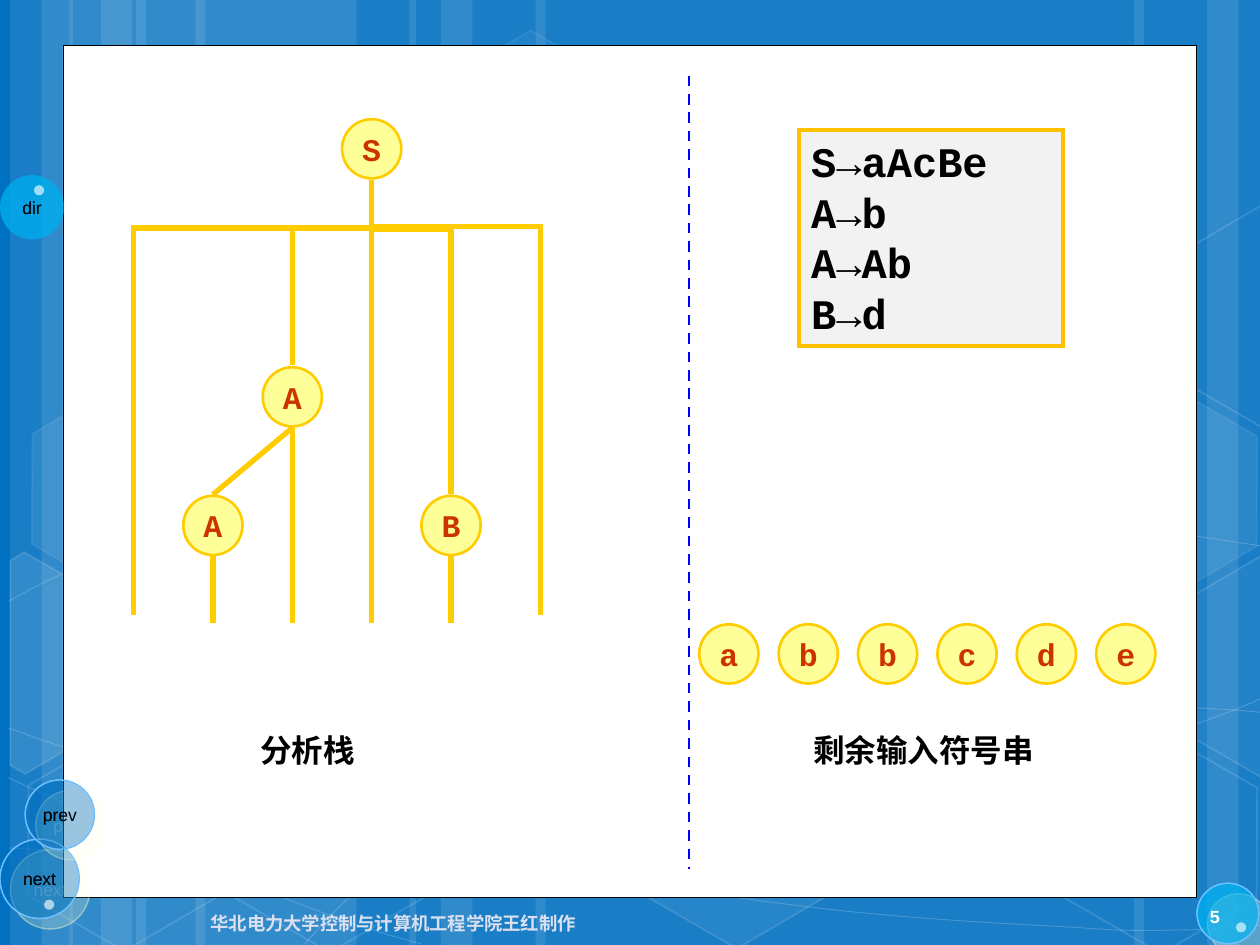
from math import cos, radians, sin
from typing import NamedTuple, Optional

from lxml import etree
from pptx import Presentation, util as u
from pptx.dml.color import RGBColor
from pptx.enum import dml, shapes, text
from pptx.oxml.ns import qn

COLORS = {
    "back": "0070C0", "white": "FFFFFF", "black": "000000", "sky": "00B0F0",
    "rim": "6DC0FF", "glow": "FFFFCC", "node": "FFFF99", "branch": "FFCC00",
    "symbol": "CC3300", "rules": "F2F2F2", "rules_edge": "FFC000",
    "divider": "0000FF", "footer": "DAE0EF", "number": "FEFEFE",
}
MONO, SANS, CJK = "Courier New", "Arial", "Noto Sans CJK SC"
COL0, COL, ROW0, ROW = 1.06, 0.63, 1.11, 1.02  # tree grid, in inches
NODE = 0.47
S_ROW = 0.07
TILT = 30  # degrees, for the hexagons

prs = Presentation()
prs.slide_width, prs.slide_height = u.Inches(10), u.Inches(7.5)
s = prs.slides.add_slide(prs.slide_layouts[6])


class Style(NamedTuple):
    fill: Optional[str] = None
    alpha: int = 100
    line: Optional[str] = None
    width: float = 1
    line_alpha: int = 100
    glow: bool = False


class Font(NamedTuple):
    size: float
    name: str
    color: str
    bold: bool = False


class Button(NamedTuple):
    box: tuple
    style: Style
    label: str = ""


class Node(NamedTuple):
    label: str
    col: float
    row: float


def paint(fill, color: Optional[str], alpha: int) -> None:
    if color is None:
        fill.background()
        return
    fill.solid()
    fill.fore_color.rgb = RGBColor.from_string(COLORS[color])
    if alpha < 100:
        clr = fill._xPr.find(qn("a:solidFill"))[0]
        etree.SubElement(clr, qn("a:alpha"), val=str(alpha * 1000))


def sharpen(sp) -> None:
    """Give the outline mitred corners."""
    etree.SubElement(sp._element.spPr.find(qn("a:ln")), qn("a:miter"), lim="800000")


def dress(sp, style: Style) -> None:
    paint(sp.fill, style.fill, style.alpha)
    paint(sp.line.fill, style.line, style.line_alpha)
    if style.line:
        sp.line.width = u.Pt(style.width)
        sharpen(sp)
    sp.shadow.inherit = False
    if style.glow:
        effects = sp._element.spPr.find(qn("a:effectLst"))
        shadow = etree.SubElement(effects, qn("a:outerShdw"), dist=str(u.Pt(8.5)),
                                  dir="2700000", algn="ctr", rotWithShape="0")
        clr = etree.SubElement(shadow, qn("a:srgbClr"), val=COLORS["glow"])
        etree.SubElement(clr, qn("a:alpha"), val="30000")


def add_shape(kind, box: tuple, style: Style):
    sp = s.shapes.add_shape(kind, *map(u.Inches, box))
    dress(sp, style)
    return sp


def write(sp, lines: list, font: Font, align=text.PP_ALIGN.CENTER,
          anchor=text.MSO_ANCHOR.MIDDLE, wrap: bool = False) -> None:
    tf = sp.text_frame
    tf.word_wrap, tf.vertical_anchor = wrap, anchor
    tf.text = "\n".join(lines)
    for p in tf.paragraphs:
        p.alignment = align
        p.font.size, p.font.bold = u.Pt(font.size), font.bold
        p.font.color.rgb = RGBColor.from_string(COLORS[font.color])
        p.font.name = font.name
        if font.name == CJK:
            etree.SubElement(p.font._rPr, qn("a:ea"), typeface=CJK)


def add_text(box: tuple, label: str, font: Font, **layout) -> None:
    write(s.shapes.add_textbox(*map(u.Inches, box)), [label], font, **layout)


def add_outline(points: list, style: Style, close: bool = False):
    (x, y), *rest = [(u.Inches(a), u.Inches(b)) for a, b in points]
    fb = s.shapes.build_freeform(x, y)
    fb.add_line_segments(rest, close=close)
    sp = fb.convert_to_shape()
    dress(sp, style)
    return sp


def add_curve(points: list, style: Style) -> None:
    """Join the points, three at a time, as cubic Bezier pieces."""
    sp = add_outline(points, style)
    lines = list(sp._element.spPr.iter(qn("a:lnTo")))
    for i in range(0, len(lines), 3):
        piece = etree.SubElement(lines[i].getparent(), qn("a:cubicBezTo"))
        for line in lines[i:i + 3]:
            piece.append(line[0])
            line.getparent().remove(line)


def add_tilted(points: list, center: tuple, style: Style) -> None:
    """Draw an outline as an upright shape turned about its center."""
    cx, cy = center
    c, d = cos(radians(TILT)), sin(radians(TILT))
    upright = [(cx + c * (x - cx) + d * (y - cy), cy - d * (x - cx) + c * (y - cy))
               for x, y in points]
    add_outline(upright, style, close=True).rotation = TILT


def add_line(x1: float, y1: float, x2: float, y2: float, color: str = "branch",
             width: float = 3, kind=shapes.MSO_CONNECTOR.STRAIGHT):
    c = s.shapes.add_connector(kind, *map(u.Inches, (x1, y1, x2, y2)))
    c.line.color.rgb = RGBColor.from_string(COLORS[color])
    c.line.width = u.Pt(width)
    sharpen(c)
    etree.SubElement(c._element.spPr, qn("a:effectLst"))
    return c


def add_elbow(x1: float, y1: float, x2: float, y2: float, bend: float) -> None:
    """Rise from the lower point, cross at height bend, rise to the upper point."""
    cx, cy, w, h = (x1 + x2) / 2, (y1 + y2) / 2, y1 - y2, x2 - x1
    c = add_line(cx - w / 2, cy - h / 2, cx + w / 2, cy + h / 2,
                 kind=shapes.MSO_CONNECTOR.ELBOW)
    spPr = c._element.spPr
    spPr.find(qn("a:xfrm")).set("rot", str(270 * 60000))
    guides = spPr.find(qn("a:prstGeom")).find(qn("a:avLst"))
    etree.SubElement(guides, qn("a:gd"), name="adj1",
                     fmla=f"val {round((y1 - bend) / w * 100000)}")


def col_x(col: float) -> float:
    return COL0 + COL * col


def row_y(row: float, side: int = 0) -> float:
    """Middle of a row, or the top (-1) or bottom (1) of its nodes."""
    return ROW0 + ROW * row + side * (NODE / 2 + 0.01)


def add_node(node: Node) -> None:
    box = (col_x(node.col) - NODE / 2, row_y(node.row) - NODE / 2, NODE, NODE)
    sp = add_shape(shapes.MSO_SHAPE.OVAL, box, Style("node", line="branch", width=1.5))
    write(sp, [node.label], Font(18, MONO, "symbol", True))


def add_buttons() -> None:
    for b in BUTTONS:
        sp = add_shape(shapes.MSO_SHAPE.OVAL, b.box, b.style)
        if b.label:
            write(sp, [b.label], Font(10, SANS, "black"))


# Background stripes
s.background.fill.solid()
s.background.fill.fore_color.rgb = RGBColor.from_string(COLORS["back"])
for left, width in [(1.08, 1.75), (0.08, 0.5), (0.33, 0.83), (1.55, 1.75), (0.55, 0.5), (0.8, 0.83),
                    (7.33, 1.75), (9.58, 0.5), (9, 0.83), (4.25, 3.08), (3.25, 0.5), (3.5, 0.83)]:
    add_shape(shapes.MSO_SHAPE.RECTANGLE, (left, 0, width, 7.5), Style("white", 10))

# Background curves
for points in [
    [(0.07, 6.73), (0.61, 6.76), (1.15, 6.79), (1.9, 6.78), (2.65, 6.77), (3.58, 6.75),
     (4.58, 6.65), (5.58, 6.55), (7, 6.36), (7.92, 6.17), (8.83, 5.98), (9.77, 5.68), (10.07, 5.51)],
    [(0.07, 4.77), (0.36, 4.61), (0.65, 4.46), (1.21, 4.31), (1.78, 4.16), (2.59, 3.94),
     (3.47, 3.87), (4.36, 3.8), (5.44, 3.79), (6.54, 3.87), (7.64, 3.95), (9.47, 4.26), (10.07, 4.34)],
    [(0.06, 6.17), (1.27, 6.72), (2.47, 7.27), (3.34, 7.49)],
    [(0.07, 5.78), (0.38, 5.89), (0.7, 6), (1.28, 6.16), (1.86, 6.31), (2.73, 6.56),
     (3.57, 6.73), (4.4, 6.9), (5.45, 7.08), (6.28, 7.18), (7.11, 7.29), (8, 7.33),
     (8.53, 7.36), (9.05, 7.4), (9.19, 7.38), (9.45, 7.38), (9.71, 7.37), (9.89, 7.35), (10.07, 7.34)],
    [(2.42, 7.49), (2.6, 7.29), (2.78, 7.09), (3.02, 6.91), (3.26, 6.73), (3.6, 6.53),
     (3.88, 6.39), (4.16, 6.25), (4.33, 6.19), (4.7, 6.09), (5.06, 5.99), (5.73, 5.85),
     (6.08, 5.78), (6.44, 5.71), (6.49, 5.71), (6.8, 5.69), (7.11, 5.66), (7.6, 5.63),
     (7.94, 5.62), (8.29, 5.61), (8.86, 5.62), (8.86, 5.62), (8.86, 5.62), (9.53, 5.62),
     (9.53, 5.62), (9.71, 5.63), (9.88, 5.64), (9.97, 5.65), (10.06, 5.66), (10.03, 5.65), (10.06, 5.66)],
]:
    add_curve(points, Style(line="white", width=0.5, line_alpha=20))

# Background hexagons, whole and cut by the slide's edge
for left, top, alpha, edge in [(3.34, 0.36, 4, 8), (4.97, 5.89, 6, 12), (0.11, 5.91, 0, 12),
                               (0.14, 3.12, 7, 8), (1.74, 5.92, 0, 12), (7.53, 4.53, 10, 12),
                               (8.34, 5.93, 0, 12), (8.34, 3.14, 7, 8)]:
    sp = add_shape(shapes.MSO_SHAPE.HEXAGON, (left, top, 1.75, 1.52),
                   Style("white" if alpha else None, alpha, "white", 1, edge))
    sp.rotation = TILT
    sp.adjustments[0], sp.adjustments[1] = 0.285, 1.155
right_cut = [(9.26, 4.85), (10.01, 4.41), (10.09, 4.46), (10.09, 6.13), (10.02, 6.17), (9.26, 5.73)]
for points, center, fill, alpha in [
    ([(0.08, 4.45), (0.19, 4.38), (0.96, 4.82), (0.95, 5.7), (0.2, 6.14), (0.08, 6.07)],
     (0.36, 5.35), "white", 10),
    (right_cut, (9.85, 5.2), "white", 4),
    ([(x, y - 2.78) for x, y in right_cut], (9.85, 2.42), None, 100),
]:
    add_tilted(points, center, Style(fill, alpha, "white", 1, 12))

# White panel between two layers of navigation buttons
ring = Style("back", 40, "rim", 0.75, glow=True)
dot = Style("white", 50)
BUTTONS = [
    Button((9.5, 7.01, 0.49, 0.48), ring._replace(fill="sky", alpha=50)),
    Button((0, 1.39, 0.51, 0.51), Style("sky", 50), "dir"),
    Button((0, 6.66, 0.63, 0.63), ring, "next"),
    Button((0.2, 6.19, 0.55, 0.55), ring, "prev"),
    *(Button((x, y, 0.08, 0.08), dot) for x, y in [(0.35, 7.14), (0.27, 1.47), (9.81, 7.32)]),
]
add_buttons()
add_shape(shapes.MSO_SHAPE.RECTANGLE, (0.5, 0.36, 9, 6.76), Style("white", line="black", width=0.5))
add_buttons()

# Footer and slide number
add_text((0.95, 7.13, 3.72, 0.4), "华北电力大学控制与计算机工程学院王红制作",
         Font(10.5, MONO, "footer", True), align=text.PP_ALIGN.RIGHT, wrap=True)
add_text((9.5, 7.07, 0.47, 0.4), "5", Font(10.5, MONO, "number", True),
         align=text.PP_ALIGN.LEFT, wrap=True)

# Grammar rules
rules = add_shape(shapes.MSO_SHAPE.RECTANGLE, (6.34, 1.03, 2.1, 1.72),
                  Style("rules", line="rules_edge", width=2.25))
write(rules, ["S→aAcBe", "A→b", "A→Ab", "B→d"], Font(24, MONO, "black", True),
      align=text.PP_ALIGN.LEFT, anchor=text.MSO_ANCHOR.TOP, wrap=True)

# Parse tree and remaining input
for node in [Node("S", 3, S_ROW), Node("A", 2, 2), Node("A", 1, 3), Node("B", 4, 3),
             *(Node(ch, 7.5 + i, 4) for i, ch in enumerate("abbcde"))]:
    add_node(node)
for col1, row1, col2, row2 in [(1, 4, 1, 3), (2, 4, 2, 2), (1, 3, 2, 2), (4, 4, 4, 3), (3, 4, 3, S_ROW)]:
    add_line(col_x(col1), row_y(row1, -1), col_x(col2), row_y(row2, 1))
for col, y, bend in [(0, 4.88, 1.81), (2, 2.9, 1.81), (4, 3.92, 1.82), (5.13, 4.88, 1.8)]:
    add_elbow(col_x(col), y, col_x(3), row_y(S_ROW, 1), bend)

# Divider and captions
add_line(5.47, 0.6, 5.47, 6.9, "divider", 1.5).line.dash_style = dml.MSO_LINE.DASH
for box, label in [((1.96, 5.75, 0.96, 0.4), "分析栈"), ((6.34, 5.75, 1.98, 0.4), "剩余输入符号串")]:
    add_text(box, label, Font(18, CJK, "black", True), anchor=text.MSO_ANCHOR.TOP)

prs.save("out.pptx")
